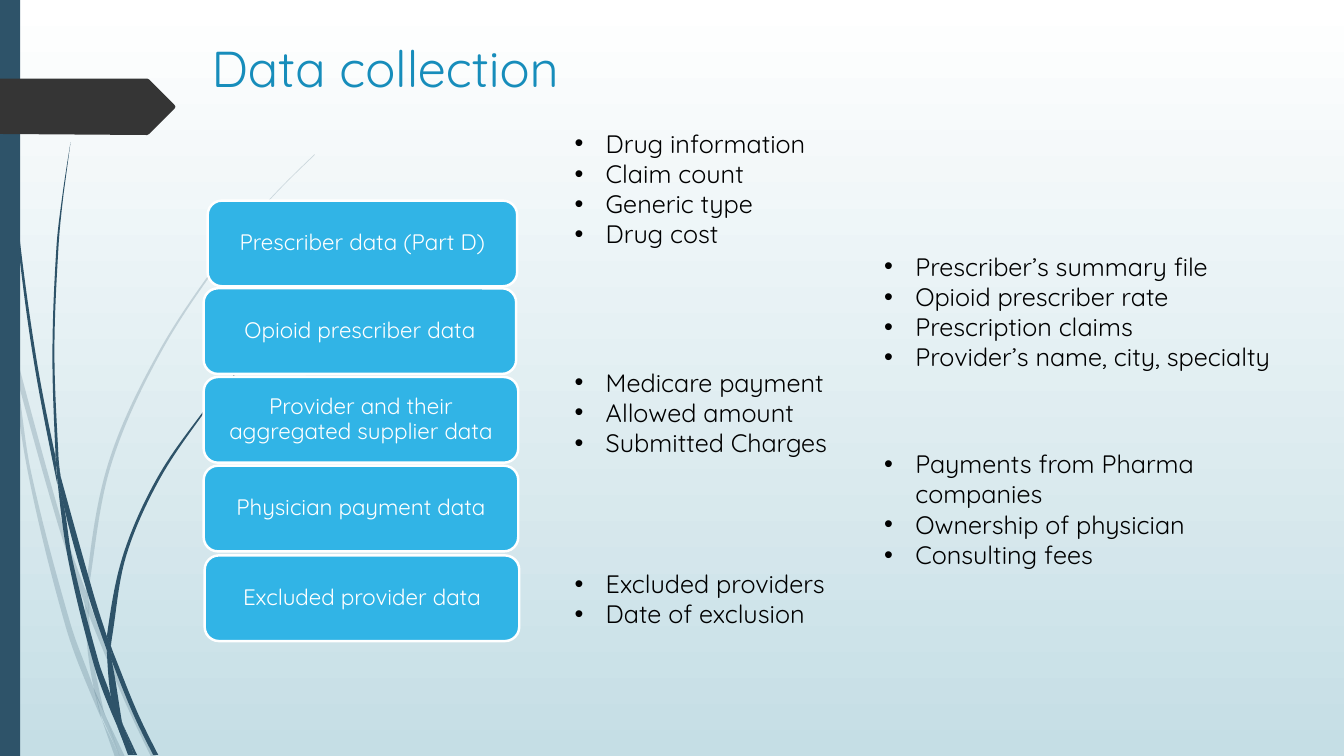
from pptx import Presentation, util as u
from pptx.dml.color import RGBColor
from pptx.enum import shapes, text
from pptx.oxml.ns import qn
from lxml import etree

FONT = "Quicksand"
HUES = {"top": "FFFFFF", "base": "C5DEE5", "grass": "2E5369", "tag": "353535",
        "title": "178DBB", "bar": "31B4E6", "white": "FFFFFF", "ink": "000000"}

PALE = [
    ([(0, 2.82), (.09, 3.22), (.11, 3.5)], [(.1, 3.44), (0, 2.99)]),
    ([(.14, 3.45), (.62, 5.2), (.85, 5.86)], [(.84, 5.99), (.58, 5.22), (.17, 3.76)]),
    ([(.88, 5.96), (.92, 6.07), (1.27, 6.92), (1.55, 7.51)],
     [(1.5, 7.51), (1.23, 6.94), (.88, 6.1)]),
    ([(1.05, 7.11), (1.24, 7.51)], [(1.19, 7.51)]),
    ([(.11, 3.5), (.17, 3.76), (.31, 4.69), (.7, 6.19), (.93, 6.83), (1.01, 7.14)],
     [(.92, 6.93), (.65, 6.21), (.28, 4.7), (.11, 3.5)]),
    ([(.84, 5.99), (.88, 6.1), (.91, 6.46), (1.03, 7.06), (1.05, 7.11)],
     [(.96, 6.92), (.93, 6.83), (.87, 6.46), (.84, 5.99)]),
    ([(.85, 5.86), (1.07, 4.61), (1.58, 3.48), (2.28, 2.44), (2.68, 1.97), (3.12, 1.53)],
     [(3.12, 1.54), (2.68, 1.98), (2.29, 2.45), (1.6, 3.49), (1.1, 4.62), (.88, 5.84),
      (.88, 5.96)]),
    ([(1.01, 7.14), (1.19, 7.51)], [(1.14, 7.51)]),
    ([(.85, 5.86), (.88, 5.96), (.88, 6.1)], [(.84, 5.99)]),
    ([(.93, 6.83), (1.05, 7.11), (1.19, 7.51)], [(.99, 7.07), (.93, 6.83)]),
]
DARK = [
    ([(.03, 0), (.04, .48), (.07, 1.1), (.17, 2.33), (.33, 3.55), (.57, 4.81)],
     [(.55, 4.53), (.36, 3.55), (.19, 2.32), (.08, 1.09), (.05, .48), (.04, 0)]),
    ([(.6, 4.72), (.93, 5.9), (1.06, 6.31)],
     [(1.06, 6.45), (.88, 5.92), (.64, 5.05), (.6, 4.72)]),
    ([(1.1, 6.41), (1.13, 6.49), (1.36, 7.06), (1.57, 7.49)],
     [(1.52, 7.49), (1.32, 7.08), (1.11, 6.56)]),
    ([(.57, 4.77), (.64, 5.05), (.72, 5.56), (.98, 6.57), (1.1, 6.91), (1.17, 7.22)],
     [(1.11, 7.08), (.93, 6.59), (.68, 5.57), (.57, 4.77)]),
    ([(.55, 4.49), (.52, 3.49), (.56, 2.45), (.62, 1.93), (.7, 1.41)],
     [(.63, 1.93), (.58, 2.45), (.54, 3.49), (.58, 4.53), (.6, 4.72)]),
    ([(1.22, 7.19), (1.36, 7.49)], [(1.33, 7.49)]),
    ([(.55, 4.49), (.6, 4.72), (.64, 5.05)], [(.57, 4.77), (.55, 4.53)]),
    ([(1.06, 6.31), (1.22, 5.51), (1.56, 4.74), (2.04, 4.05), (2.31, 3.73), (2.6, 3.44)],
     [(2.61, 3.44), (2.31, 3.74), (2.05, 4.06), (1.58, 4.76), (1.25, 5.52), (1.11, 6.33),
      (1.1, 6.41)]),
    ([(1.17, 7.22), (1.31, 7.49)], [(1.27, 7.49)]),
    ([(1.06, 6.45), (1.11, 6.56), (1.21, 7.16), (1.22, 7.19)],
     [(1.16, 7.06), (1.1, 6.91), (1.06, 6.45)]),
    ([(1.06, 6.31), (1.1, 6.41), (1.11, 6.56)], [(1.06, 6.45)]),
    ([(1.1, 6.91), (1.22, 7.19), (1.33, 7.49)], [(1.3, 7.49), (1.17, 7.22), (1.1, 6.91)]),
]
TAG = [(0, .78), (1.46, .78), (1.48, .79), (1.73, 1.04), (1.74, 1.06), (1.73, 1.08),
       (1.48, 1.33), (1.46, 1.34), (0, 1.33)]

BARS = [((2.06, 1.99, 3.07, .85), "Prescriber data (Part D)"),
        ((2.02, 2.86, 3.1, .85), "Opioid prescriber data"),
        ((2.02, 3.74, 3.12, .85), "Provider and their aggregated supplier data"),
        ((2.02, 4.62, 3.12, .85), "Physician payment data"),
        ((2.03, 5.51, 3.12, .85), "Excluded provider data")]
LISTS = [
    ((5.6, 1.22, 2.56, 1.62), False,
     ["Drug information", "Claim count", "Generic type", "Drug cost"]),
    ((8.67, 2.44, 4.3, 2.22), False,
     ["Prescriber’s summary file", "Opioid prescriber rate", "Prescription claims",
      "Provider’s name, city, specialty"]),
    ((5.6, 3.59, 2.9, 1.62), False,
     ["Medicare payment", "Allowed amount", "Submitted Charges"]),
    ((8.67, 4.4, 4.51, 1.31), True,
     ["Payments from Pharma companies", "Ownership of physician", "Consulting fees"]),
    ((5.6, 5.59, 2.84, 1.01), False, ["Excluded providers", "Date of exclusion"]),
]


def rgb(hue):
    """Return the colour stored under a name."""
    return RGBColor.from_string(HUES[hue])


def paint(shape, hue):
    """Give a shape a flat fill with no line or shadow."""
    shape.shadow.inherit = False
    shape.fill.solid()
    shape.fill.fore_color.rgb = rgb(hue)
    shape.line.fill.background()


def write(para, words, size, hue):
    """Add one run of styled words to a paragraph."""
    run = para.add_run()
    run.text = words
    run.font.size, run.font.name = u.Pt(size), FONT
    run.font.color.rgb = rgb(hue)


def curve(edge):
    """Return an edge's first point, then three Bezier points per span."""
    dots = [complex(*dot) for dot in edge]
    gaps = [abs(b - a) for a, b in zip(dots, dots[1:])]
    if not gaps:
        return edge
    first, last = (dots[1] - dots[0]) / gaps[0], (dots[-1] - dots[-2]) / gaps[-1]
    mid = [(dots[i + 1] - dots[i - 1]) / (gaps[i - 1] + gaps[i]) for i in range(1, len(gaps))]
    if mid:
        first, last = 1.5 * first - .5 * mid[0], 1.5 * last - .5 * mid[-1]
    lean = [first, *mid, last]
    line = [dots[0]]
    for i, gap in enumerate(gaps):
        line += [dots[i] + lean[i] * gap / 3, dots[i + 1] - lean[i + 1] * gap / 3, dots[i + 1]]
    return [(dot.real, dot.imag) for dot in line]


def outline(slide, dots, hue):
    """Draw a closed shape through points given in inches."""
    spots = [(u.Inches(x), u.Inches(y)) for x, y in dots]
    form = slide.shapes.build_freeform(*spots[0])
    form.add_line_segments(spots[1:], close=True)
    shape = form.convert_to_shape()
    paint(shape, hue)
    return shape


def bend(shape):
    """Turn each three straight steps of an outline into one curve."""
    steps = list(shape._element.iter(qn("a:lnTo")))
    for i in range(0, len(steps) - 2, 3):
        arc = etree.Element(qn("a:cubicBezTo"))
        steps[i].addprevious(arc)
        for step in steps[i:i + 3]:
            arc.append(step[0])
            step.getparent().remove(step)


def grass(slide, blades, alpha=100):
    """Draw curved blades, each bounded by two edges."""
    for go, back in blades:
        out, home = curve(go), curve(back)
        blade = outline(slide, out + [out[-1], home[0]] + home, "grass")
        bend(blade)
        if alpha < 100:
            tint = blade.fill._xPr.find(qn("a:solidFill"))[0]
            etree.SubElement(tint, qn("a:alpha")).set("val", str(alpha * 1000))


def decor(slide):
    """Draw the backdrop, the grass, the side strip and the tag."""
    fill = slide.background.fill
    fill.gradient()
    fill.gradient_angle = 270
    for stop, hue in zip(fill.gradient_stops, ("top", "base")):
        stop.color.rgb = rgb(hue)
    grass(slide, PALE, 20)
    grass(slide, DARK)
    strip = slide.shapes.add_shape(shapes.MSO_SHAPE.RECTANGLE, 0, 0, u.Inches(.2), u.Inches(7.5))
    paint(strip, "grass")
    outline(slide, TAG, "tag")


def block(slide, box, wrap=True):
    """Add a text box and return its frame."""
    frame = slide.shapes.add_textbox(*map(u.Inches, box)).text_frame
    frame.word_wrap = wrap
    return frame


def bar(slide, box, words):
    """Draw one rounded data source bar with its words."""
    shape = slide.shapes.add_shape(shapes.MSO_SHAPE.ROUNDED_RECTANGLE, *map(u.Inches, box))
    paint(shape, "bar")
    shape.line.color.rgb = rgb("white")
    shape.line.width = u.Pt(1.75)
    frame = shape.text_frame
    frame.word_wrap = True
    frame.vertical_anchor = text.MSO_ANCHOR.MIDDLE
    frame.margin_left = frame.margin_right = u.Inches(.07)
    frame.margin_top = frame.margin_bottom = u.Inches(.03)
    para = frame.paragraphs[0]
    para.alignment, para.line_spacing = text.PP_ALIGN.CENTER, .9
    write(para, words, 16, "white")


def points(slide, box, wrap, items):
    """Write a bulleted list in a box."""
    frame = block(slide, box, wrap)
    frame.auto_size = text.MSO_AUTO_SIZE.SHAPE_TO_FIT_TEXT
    for i, item in enumerate(items):
        para = frame.add_paragraph() if i else frame.paragraphs[0]
        props = para._p.get_or_add_pPr()
        props.set("marL", str(u.Inches(.31)))
        props.set("indent", str(-u.Inches(.31)))
        etree.SubElement(props, qn("a:buFont")).set("typeface", "Arial")
        etree.SubElement(props, qn("a:buChar")).set("char", "•")
        write(para, item, 18, "ink")


def main():
    """Build the slide and save it."""
    deck = Presentation()
    deck.slide_width, deck.slide_height = u.Inches(13.33), u.Inches(7.5)
    slide = deck.slides.add_slide(deck.slide_layouts[6])
    decor(slide)
    write(block(slide, (2, .32, 9.75, 1.4)).paragraphs[0], "Data collection", 36, "title")
    for box, words in BARS:
        bar(slide, box, words)
    for box, wrap, items in LISTS:
        points(slide, box, wrap, items)
    deck.save("out.pptx")


if __name__ == "__main__":
    main()
